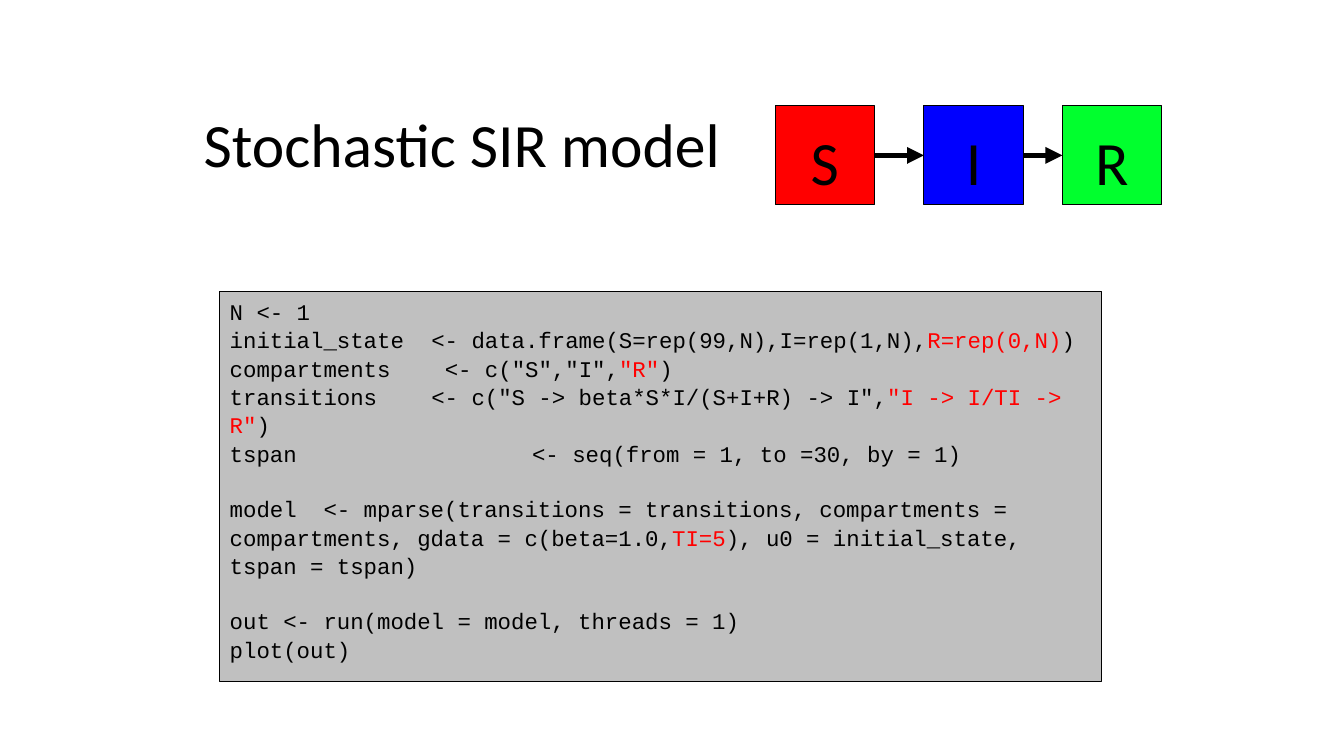
import lxml.etree
import pptx
import pptx.dml.color
import pptx.enum.shapes
import pptx.enum.text
import pptx.oxml.ns
import pptx.util

Pt = pptx.util.Pt
qn = pptx.oxml.ns.qn

COLORS = {
    "black": "000000",
    "red": "FF0000",
    "blue": "0000FF",
    "green": "01FF2E",
    "grey": "C0C0C0",
}
BOX_TOP, BOX_SIZE = 75.6, 70.8
COMPARTMENTS = [("S", 553.8, "red"), ("I", 660, "blue"), ("R", 758.8, "green")]
# Each code line: tab stop, space before, (text, color) pieces
CODE = [
    (None, 0, [("N <- 1", "black")]),
    (144, 0, [("initial_state\t<- data.frame(S=rep(99,N),I=rep(1,N),", "black"),
              ("R=rep(0,N)", "red"), (")", "black")]),
    (153.6, 0, [('compartments\t<- c("S","I",', "black"),
                ('"R"', "red"), (")", "black")]),
    (144, 0, [('transitions\t<- c("S -> beta*S*I/(S+I+R) -> I",', "black"),
              ('"I -> I/TI -> R"', "red"), (")", "black")]),
    (216, 0, [("tspan\t<- seq(from = 1, to =30, by = 1)", "black")]),
    (None, 19.2, [("model  <- mparse(transitions = transitions, compartments = "
                   "compartments, gdata = c(beta=1.0,", "black"),
                  ("TI=5", "red"),
                  ("), u0 = initial_state, tspan = tspan)", "black")]),
    (None, 19.2, [("out <- run(model = model, threads = 1)", "black")]),
    (None, 0, [("plot(out)", "black")]),
]


def rgb(name):
    return pptx.dml.color.RGBColor.from_string(COLORS[name])


def style_paragraph(paragraph, font_name, size, spacing, align):
    paragraph.alignment = align
    paragraph.line_spacing = spacing
    paragraph.font.name = font_name
    paragraph.font.size = Pt(size)


def add_title(slide, text):
    title = slide.shapes.title
    title.left, title.top, title.width, title.height = Pt(138.2), Pt(63.4), Pt(388), Pt(65.5)
    frame = title.text_frame
    frame.text = text
    frame.word_wrap = False
    frame.auto_size = pptx.enum.text.MSO_AUTO_SIZE.NONE
    frame.vertical_anchor = pptx.enum.text.MSO_ANCHOR.TOP
    paragraph = frame.paragraphs[0]
    style_paragraph(paragraph, "Calibri", 44, 1.16, pptx.enum.text.PP_ALIGN.LEFT)
    paragraph.font.color.rgb = rgb("black")


def add_box(slide, kind, left, top, width, height, fill):
    box = slide.shapes.add_shape(kind, Pt(left), Pt(top), Pt(width), Pt(height))
    box.shadow.inherit = False
    box.fill.solid()
    box.fill.fore_color.rgb = rgb(fill)
    box.line.color.rgb = rgb("black")
    box.line.width = Pt(0.75)
    return box


def add_compartment(slide, letter, left, fill):
    box = add_box(slide, pptx.enum.shapes.MSO_SHAPE.ROUNDED_RECTANGLE,
                  left, BOX_TOP, BOX_SIZE, BOX_SIZE, fill)
    box.adjustments[0] = 0
    box.text_frame.text = letter
    box.text_frame.vertical_anchor = pptx.enum.text.MSO_ANCHOR.MIDDLE
    paragraph = box.text_frame.paragraphs[0]
    style_paragraph(paragraph, "Calibri", 44, 1.16, pptx.enum.text.PP_ALIGN.CENTER)
    paragraph.runs[0].font.color.rgb = rgb("black")


def add_arrow(slide, start, end):
    middle = Pt(BOX_TOP + BOX_SIZE / 2)
    arrow = slide.shapes.add_connector(
        pptx.enum.shapes.MSO_CONNECTOR.STRAIGHT, Pt(start), middle, Pt(end), middle)
    arrow.line.color.rgb = rgb("black")
    arrow.line.width = Pt(4)
    lxml.etree.SubElement(arrow.line._get_or_add_ln(), qn("a:tailEnd"), type="triangle")
    lxml.etree.SubElement(arrow._element.spPr, qn("a:effectLst"))


def add_tab_stop(paragraph, position):
    properties = paragraph._p.get_or_add_pPr()
    stops = lxml.etree.Element(qn("a:tabLst"))
    lxml.etree.SubElement(stops, qn("a:tab"), pos=str(Pt(position)), algn="l")
    properties.find(qn("a:defRPr")).addprevious(stops)


def add_code(slide):
    panel = add_box(slide, pptx.enum.shapes.MSO_SHAPE.RECTANGLE, 157, 208, 630, 278.6, "grey")
    frame = panel.text_frame
    frame.word_wrap = True
    frame.vertical_anchor = pptx.enum.text.MSO_ANCHOR.TOP
    for index, (tab_stop, space_before, pieces) in enumerate(CODE):
        line = frame.add_paragraph() if index else frame.paragraphs[0]
        style_paragraph(line, "Courier New", 16, 1.06, pptx.enum.text.PP_ALIGN.LEFT)
        line.space_before = Pt(space_before)
        if tab_stop:
            add_tab_stop(line, tab_stop)
        for text, color in pieces:
            piece = line.add_run()
            piece.text = text
            piece.font.color.rgb = rgb(color)


def main():
    deck = pptx.Presentation()
    deck.slide_width, deck.slide_height = Pt(960), Pt(540)
    slide = deck.slides.add_slide(deck.slide_layouts[5])
    add_title(slide, "Stochastic SIR model")
    for letter, left, fill in COMPARTMENTS:
        add_compartment(slide, letter, left, fill)
    for (_, left, _), (_, following, _) in zip(COMPARTMENTS, COMPARTMENTS[1:]):
        add_arrow(slide, left + BOX_SIZE, following)
    add_code(slide)
    deck.save("out.pptx")


if __name__ == "__main__":
    main()
